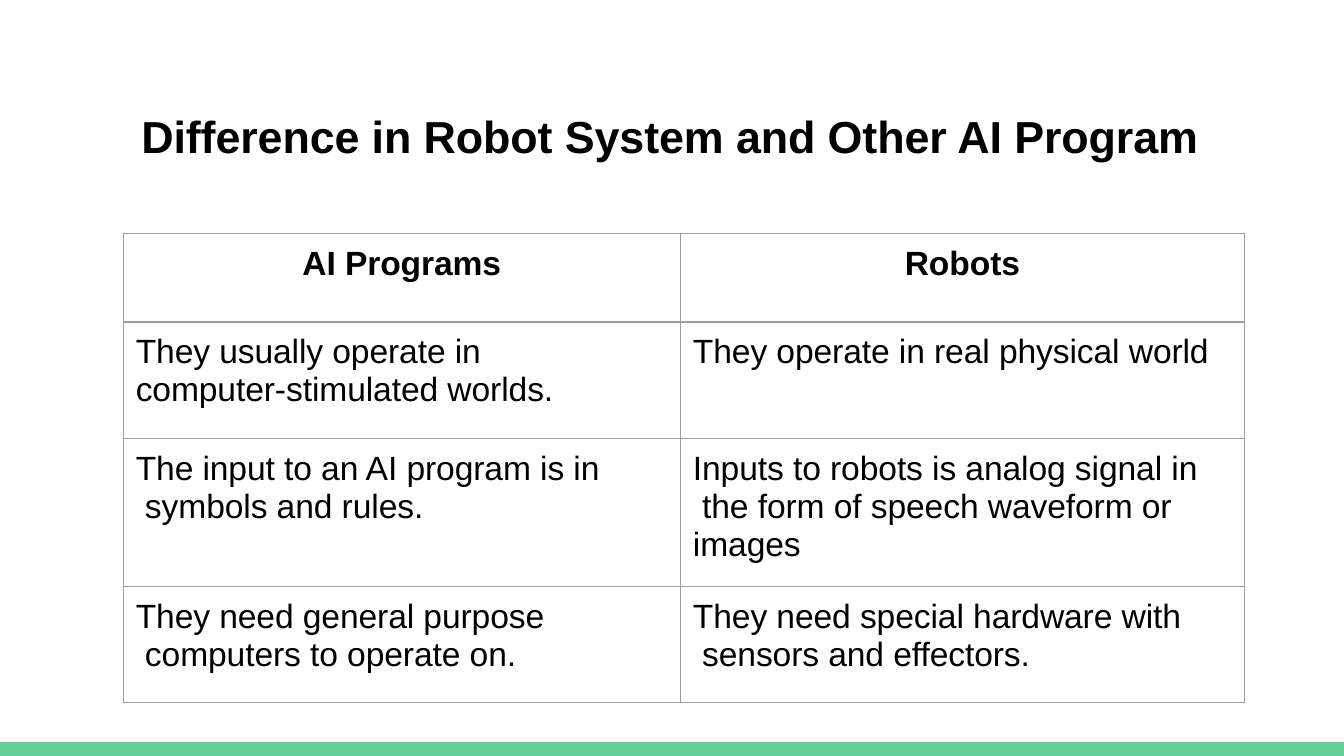
"""Build a slide that compares AI programs with robots in a two-column table."""
from lxml.etree import SubElement
from pptx import Presentation
from pptx.dml.color import RGBColor
from pptx.enum.shapes import MSO_SHAPE
from pptx.enum.text import PP_ALIGN
from pptx.oxml.ns import qn
from pptx.util import Pt

PX = 9525
BLACK = RGBColor(0x00, 0x00, 0x00)
GREEN = RGBColor(0x63, 0xD1, 0x97)
GRAY = RGBColor(0x9E, 0x9E, 0x9E)

COLS = [398, 403]
ROWS = [63, 83, 106, 83]
TEXTS = [
    ("AI Programs", "Robots"),
    ("They usually operate in\vcomputer-stimulated worlds.",
     "They operate in real physical world"),
    ("The input to an AI program is in\v symbols and rules.",
     "Inputs to robots is analog signal in\v the form of speech waveform or\vimages"),
    ("They need general purpose\v computers to operate on.",
     "They need special hardware with\v sensors and effectors."),
]


def write(tf, text, size, bold, align):
    tf.word_wrap = True
    p = tf.paragraphs[0]
    p.text = text
    p.alignment = align
    for r in p.runs:
        for name, value in {"name": "Arial", "size": Pt(size), "bold": bold}.items():
            setattr(r.font, name, value)
        r.font.color.rgb = BLACK
        r._r.get_or_add_rPr().set("spc", "-5")
    return p


def add_borders(cell):
    tcPr = cell._tc.get_or_add_tcPr()
    for side in ("lnL", "lnR", "lnT", "lnB"):
        ln = SubElement(tcPr, qn(f"a:{side}"), w=str(Pt(0.75)))
        fill = SubElement(ln, qn("a:solidFill"))
        SubElement(fill, qn("a:srgbClr"), val=str(GRAY))


prs = Presentation()
prs.slide_width = 960 * PX
prs.slide_height = 540 * PX
s = prs.slides.add_slide(prs.slide_layouts[6])

bar = s.shapes.add_shape(MSO_SHAPE.RECTANGLE, 0, 530 * PX, 960 * PX, 10 * PX)
bar.shadow.inherit = False
bar.fill.solid()
bar.fill.fore_color.rgb = GREEN
bar.line.fill.background()

title = s.shapes.add_textbox(100 * PX, 77 * PX, 759 * PX, 41 * PX)
tf = title.text_frame
margins = {"margin_left": PX, "margin_top": PX, "margin_right": 0, "margin_bottom": 0}
for name, value in margins.items():
    setattr(tf, name, value)
p = write(tf, "Difference in Robot System and Other AI Program", 24, True, PP_ALIGN.LEFT)
p.space_before = Pt(1)

frame = s.shapes.add_table(len(ROWS), len(COLS), 88 * PX, 167 * PX,
                           sum(COLS) * PX, sum(ROWS) * PX)
table = frame.table
table.first_row = False
table.horz_banding = False
for column, width in zip(table.columns, COLS):
    column.width = width * PX
for row, height in zip(table.rows, ROWS):
    row.height = height * PX

for i, texts in enumerate(TEXTS):
    header = i == 0
    for j, text in enumerate(texts):
        cell = table.cell(i, j)
        margins = {"margin_left": 0 if header else 9 * PX, "margin_top": 8 * PX,
                   "margin_right": 0, "margin_bottom": 0}
        for name, value in margins.items():
            setattr(cell, name, value)
        add_borders(cell)
        cell.fill.background()
        p = write(cell.text_frame, text, 18, header,
                  PP_ALIGN.CENTER if header else PP_ALIGN.LEFT)
        p.space_before = Pt(6)
        p.line_spacing = 1.0 if header else 1.01

prs.save("out.pptx")
